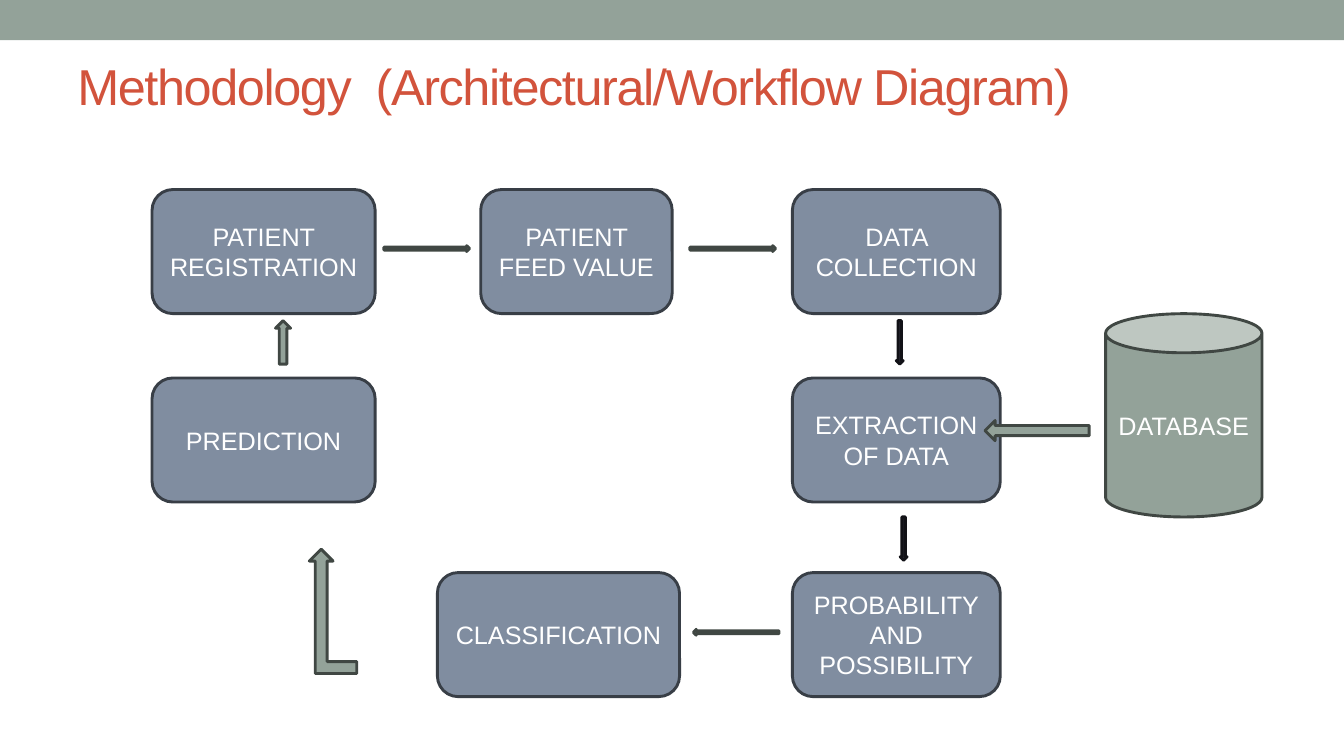
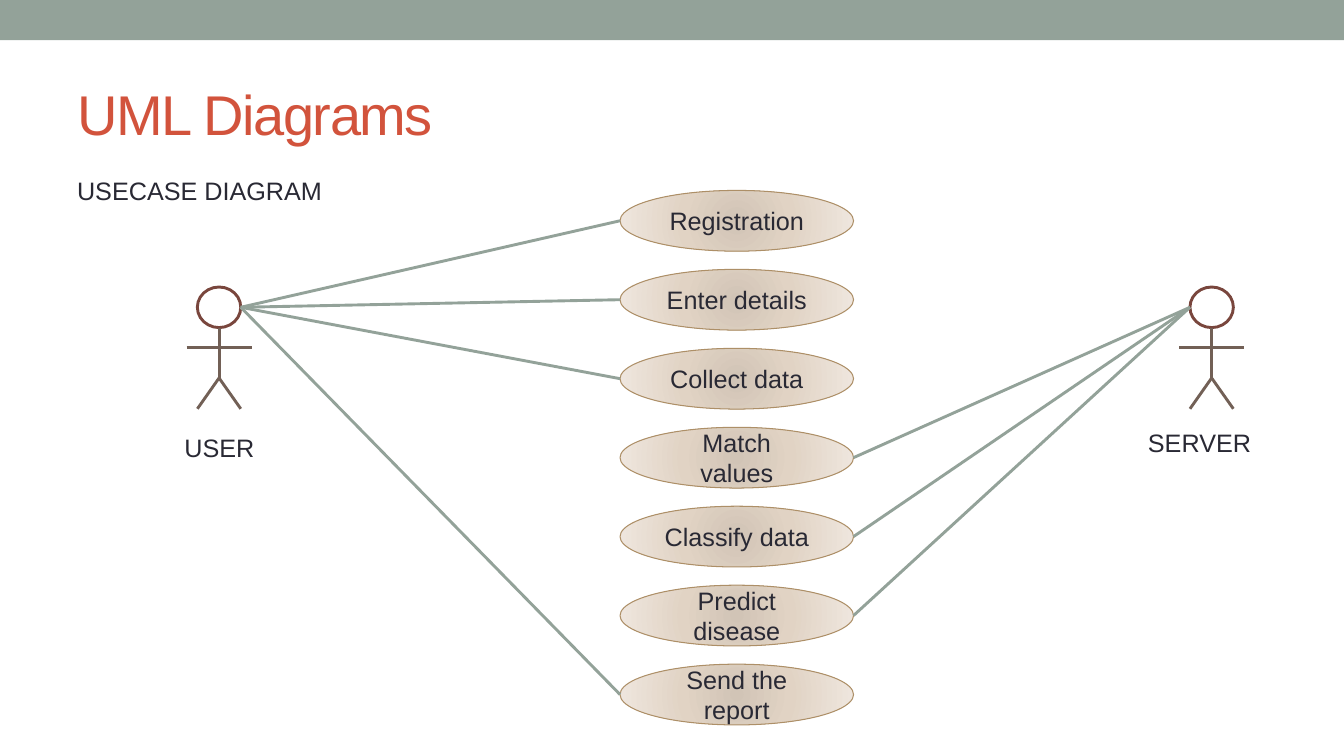
"""Build a workflow slide and a use case slide that share one band and title style."""
from dataclasses import dataclass

from lxml.etree import SubElement
from pptx import Presentation
from pptx.dml.color import RGBColor
from pptx.enum.shapes import MSO_CONNECTOR, MSO_SHAPE as Preset
from pptx.enum.text import MSO_ANCHOR as Anchor, PP_ALIGN as Align
from pptx.oxml import parse_xml
from pptx.oxml.ns import nsdecls, qn
from pptx.presentation import Presentation as Deck
from pptx.shapes.autoshape import Shape
from pptx.slide import Slide, SlideLayout
from pptx.text.text import TextFrame
from pptx.util import Pt

COLORS = {
    "sage": "93A299", "sage_edge": "404743", "title": "D2533C",
    "step": "808DA0", "step_edge": "383E46", "ink": "292934", "ink_edge": "121217",
    "case_edge": "AD8F67", "head_edge": "79463D", "limb": "726056", "white": "FFFFFF",
}
CASE_GRADIENT = ((0, "D1C4B6"), (45, "E1D3C4"), (100, "EFE7DF"))
FONT = "Arial"
BODY_SIZE = 18
LINE_WIDTH = 2.08
WIDTH, HEIGHT = 960, 540


@dataclass(frozen=True)
class Box:
    """A rectangle in points."""
    left: float
    top: float
    width: float
    height: float


@dataclass(frozen=True)
class Step:
    """A rounded box of the workflow."""
    text: str
    left: float
    top: float
    width: float


@dataclass(frozen=True)
class Arrow:
    """A block arrow between workflow steps."""
    preset: Preset
    box: Box
    fill: str = "sage"
    edge: str = "sage_edge"
    rotation: float = 0
    flipped: bool = False


@dataclass(frozen=True)
class Actor:
    """A stick figure with its name and the side its associations leave from."""
    name: str
    center: float
    label: Box
    side: int
    cases: tuple[int, ...]


ROWS = (135.4, 270, 409)
STEP_HEIGHT = 88.6
RIGHT_LEFT, RIGHT_WIDTH = 566, 148.5
STEPS = (
    Step("PATIENT REGISTRATION", 108.6, ROWS[0], 159.4),
    Step("PATIENT FEED VALUE", 343.4, ROWS[0], 136.8),
    Step("DATA COLLECTION", RIGHT_LEFT, ROWS[0], RIGHT_WIDTH),
    Step("EXTRACTION OF DATA", RIGHT_LEFT, ROWS[1], RIGHT_WIDTH),
    Step("PROBABILITY AND POSSIBILITY", RIGHT_LEFT, ROWS[2], RIGHT_WIDTH),
    Step("CLASSIFICATION", 312.4, ROWS[2], 173),
    Step("PREDICTION", 108.6, ROWS[1], 159.4),
)
DATABASE = Box(789.7, 224.1, 111.7, 145.2)
ARROWS = (
    Arrow(Preset.RIGHT_ARROW, Box(274.2, 175.5, 61.2, 4.2)),
    Arrow(Preset.RIGHT_ARROW, Box(492.8, 175.5, 61.2, 4.2)),
    Arrow(Preset.RIGHT_ARROW, Box(495.2, 449.5, 61.2, 4.2), rotation=180),
    Arrow(Preset.DOWN_ARROW, Box(640.2, 229.1, 5, 31), "ink", "ink_edge"),
    Arrow(Preset.DOWN_ARROW, Box(643, 369.2, 5, 31), "ink", "ink_edge"),
    Arrow(Preset.BENT_UP_ARROW, Box(221, 392.3, 33.9, 88.8), flipped=True),
    Arrow(Preset.LEFT_ARROW, Box(703.6, 300.4, 74.4, 14.4)),
    Arrow(Preset.UP_ARROW, Box(196.8, 229.1, 10.8, 31)),
)

CASES = ("Registration", "Enter details", "Collect data", "Match values",
         "Classify data", "Predict disease", "Send the report")
FIRST_CASE = Box(442.9, 136, 166.8, 43.4)
CASE_PITCH = 56.4
HEAD_WIDTH, HEAD_HEIGHT = 31, 29
HEAD_TOP, SHOULDER, HIP, FOOT = 205, 248.5, 270, 292
ARM = 23.2
ACTORS = (
    Actor("USER", 156.5, Box(124.6, 305.3, 130, 29), 1, (0, 1, 2, 6)),
    Actor("SERVER", 865.5, Box(812.9, 301.7, 121, 29), -1, (3, 4, 5)),
)


def rgb(name: str) -> RGBColor:
    """Return a named colour."""
    return RGBColor.from_string(COLORS[name])


def write(frame: TextFrame, text: str, color: str, size: float = BODY_SIZE,
          align: Align = Align.LEFT) -> None:
    """Put one styled paragraph into a text frame."""
    frame.text = text
    frame.word_wrap = True
    para = frame.paragraphs[0]
    para.alignment = align
    para.font.name = FONT
    para.font.size = Pt(size)
    para.font.color.rgb = rgb(color)


def add_preset(page: Slide, preset: Preset, box: Box, fill: str | None,
               edge: str | None, width: float = LINE_WIDTH) -> Shape:
    """Draw a preset shape without a shadow."""
    shape = page.shapes.add_shape(
        preset, Pt(box.left), Pt(box.top), Pt(box.width), Pt(box.height))
    shape.shadow.inherit = False
    if fill:
        shape.fill.solid()
        shape.fill.fore_color.rgb = rgb(fill)
    if edge:
        shape.line.color.rgb = rgb(edge)
        shape.line.width = Pt(width)
    else:
        shape.line.fill.background()
    return shape


def add_line(page: Slide, start: tuple[float, float], end: tuple[float, float],
             color: str) -> None:
    """Draw a straight line without a shadow."""
    line = page.shapes.add_connector(
        MSO_CONNECTOR.STRAIGHT, Pt(start[0]), Pt(start[1]), Pt(end[0]), Pt(end[1]))
    line.line.color.rgb = rgb(color)
    line.line.width = Pt(LINE_WIDTH)
    SubElement(line.element.spPr, qn("a:effectLst"))


def add_label(page: Slide, text: str, box: Box) -> None:
    """Write plain text in a text box."""
    label = page.shapes.add_textbox(
        Pt(box.left), Pt(box.top), Pt(box.width), Pt(box.height))
    write(label.text_frame, text, "ink")


def add_page(deck: Deck, layout: SlideLayout, text: str, size: float,
             top: float, anchor: Anchor) -> Slide:
    """Add a slide and format its title."""
    page = deck.slides.add_slide(layout)
    title = page.shapes.title
    title.left, title.top, title.width, title.height = Pt(48), Pt(top), Pt(864), Pt(78)
    frame = title.text_frame
    write(frame, text, "title", size)
    frame.vertical_anchor = anchor
    if anchor == Anchor.TOP:
        frame.margin_top = 0
    for span in title.element.iter(qn("a:r")):
        span.get_or_add_rPr().set("spc", "-100")
    return page


def add_case(page: Slide, text: str, box: Box) -> None:
    """Draw a use case as an ellipse with a radial gradient."""
    case = add_preset(page, Preset.OVAL, box, None, "case_edge", 0.75)
    stops = "".join(
        f'<a:gs pos="{place * 1000}"><a:srgbClr val="{color}"/></a:gs>'
        for place, color in CASE_GRADIENT)
    gradient = parse_xml(
        f'<a:gradFill {nsdecls("a")} rotWithShape="1"><a:gsLst>{stops}</a:gsLst>'
        '<a:path path="circle"><a:fillToRect l="100000" t="100000" r="100000" '
        'b="100000"/></a:path></a:gradFill>')
    case.element.spPr.find(qn("a:prstGeom")).addnext(gradient)
    write(case.text_frame, text, "ink", align=Align.CENTER)


def add_actor(page: Slide, actor: Actor) -> None:
    """Draw a stick figure and its name."""
    center, half = actor.center, HEAD_WIDTH / 2
    add_preset(page, Preset.OVAL, Box(center - half, HEAD_TOP, HEAD_WIDTH, HEAD_HEIGHT),
               "white", "head_edge")
    limbs = (
        ((center, HEAD_TOP + HEAD_HEIGHT), (center, HIP)),
        ((center, HIP), (center - half, FOOT)),
        ((center, HIP), (center + half, FOOT)),
        ((center - ARM, SHOULDER), (center + ARM, SHOULDER)),
    )
    for start, end in limbs:
        add_line(page, start, end, "limb")
    add_label(page, actor.name, actor.label)


def add_associations(page: Slide, actor: Actor) -> None:
    """Join an actor's head to its use cases."""
    start = (actor.center + actor.side * HEAD_WIDTH / 2, HEAD_TOP + HEAD_HEIGHT / 2)
    edge = FIRST_CASE.left + (FIRST_CASE.width if actor.side < 0 else 0)
    for index in actor.cases:
        middle = FIRST_CASE.top + index * CASE_PITCH + FIRST_CASE.height / 2
        add_line(page, start, (edge, middle), "sage")


def build_workflow(deck: Deck, layout: SlideLayout) -> Slide:
    """Build the workflow slide."""
    page = add_page(deck, layout, "Methodology  (Architectural/Workflow Diagram)",
                    36, 39.4, Anchor.TOP)
    for step in STEPS:
        box = Box(step.left, step.top, step.width, STEP_HEIGHT)
        shape = add_preset(page, Preset.ROUNDED_RECTANGLE, box, "step", "step_edge")
        write(shape.text_frame, step.text, "white", align=Align.CENTER)
    database = add_preset(page, Preset.CAN, DATABASE, "sage", "sage_edge")
    write(database.text_frame, "DATABASE", "white", align=Align.CENTER)
    for arrow in ARROWS:
        shape = add_preset(page, arrow.preset, arrow.box, arrow.fill, arrow.edge)
        shape.rotation = arrow.rotation
        if arrow.flipped:
            shape.element.spPr.find(qn("a:xfrm")).set("flipH", "1")
    return page


def build_use_cases(deck: Deck, layout: SlideLayout) -> None:
    """Build the use case slide."""
    page = add_page(deck, layout, "UML Diagrams", 40, 41.8, Anchor.MIDDLE)
    add_label(page, "USECASE DIAGRAM", Box(48, 121.7, 651, 29))
    for index, text in enumerate(CASES):
        top = FIRST_CASE.top + index * CASE_PITCH
        add_case(page, text, Box(FIRST_CASE.left, top, FIRST_CASE.width, FIRST_CASE.height))
    for actor in ACTORS:
        add_actor(page, actor)
    for actor in ACTORS:
        add_associations(page, actor)


def main() -> None:
    """Build and save the deck."""
    deck = Presentation()
    deck.slide_width, deck.slide_height = Pt(WIDTH), Pt(HEIGHT)
    layout = deck.slide_layouts.get_by_name("Title Only")
    workflow = build_workflow(deck, layout)
    band = add_preset(workflow, Preset.RECTANGLE, Box(0, 0, WIDTH, 28.8), "sage", None)
    layout.shapes.element.insert(2, band.element)
    build_use_cases(deck, layout)
    deck.save("out.pptx")


if __name__ == "__main__":
    main()
